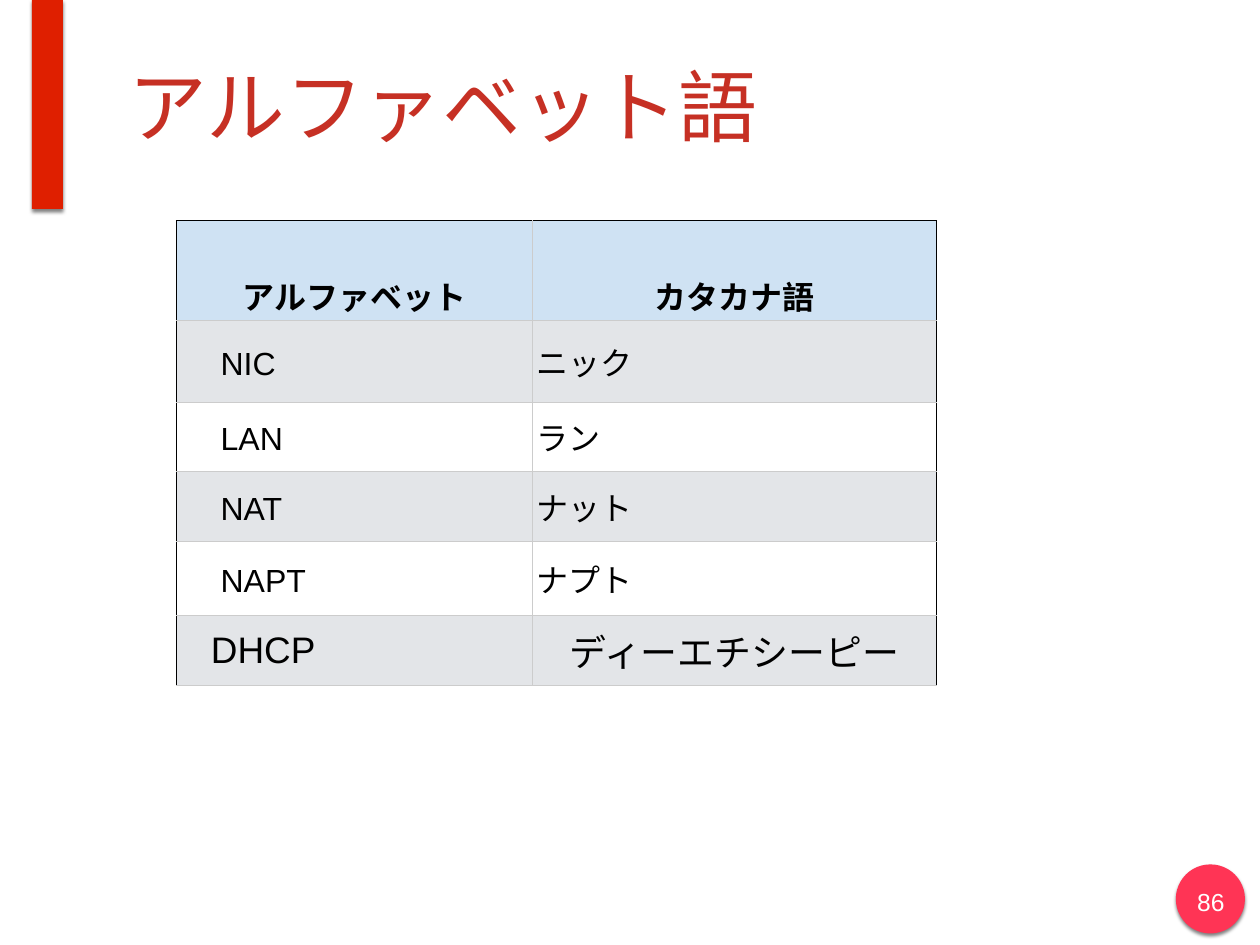
from pptx import Presentation
from pptx.dml.color import RGBColor
from pptx.enum.shapes import MSO_SHAPE
from pptx.enum.text import MSO_ANCHOR, PP_ALIGN
from pptx.oxml import parse_xml
from pptx.oxml.ns import nsdecls, qn
from pptx.util import Inches, Pt

HEAD = ("アルファベット", "カタカナ語")
TERMS = [
    ("NIC", "ニック"),
    ("LAN", "ラン"),
    ("NAT", "ナット"),
    ("NAPT", "ナプト"),
    ("DHCP", "ディーエチシーピー"),
]
COLS = (4.02, 4.56)
ROWS = (1.13, 0.92, 0.78, 0.79, 0.84, 0.79)
BLACK, GREY = "000000", "CCCCCC"


def color(code):
    """Turn a hex string into a colour."""
    return RGBColor.from_string(code)


def write(frame, text, size=26, ink=BLACK, bold=False, align=PP_ALIGN.LEFT, space=None):
    """Put one formatted paragraph into a text frame."""
    line = frame.paragraphs[0]
    line.alignment = align
    line.line_spacing = space
    run = line.add_run()
    run.text = text
    font = run.font
    font.name, font.size, font.bold = "Arial", Pt(size), bold
    font.color.rgb = color(ink)


def add_label(slide, box, text, **style):
    """Add a middle-anchored text box."""
    frame = slide.shapes.add_textbox(*map(Inches, box)).text_frame
    frame.word_wrap = True
    frame.vertical_anchor = MSO_ANCHOR.MIDDLE
    frame.margin_left = frame.margin_right = Inches(0.06)
    frame.margin_top = frame.margin_bottom = Inches(0.06)
    write(frame, text, **style)


def add_block(slide, kind, box, fill):
    """Add a plain shape with a soft shadow below it."""
    shape = slide.shapes.add_shape(kind, *map(Inches, box))
    shape.fill.solid()
    shape.fill.fore_color.rgb = color(fill)
    shape.line.fill.background()
    shape.shadow.inherit = False
    effects = shape._element.spPr.find(qn("a:effectLst"))
    effects.append(parse_xml(
        f'<a:outerShdw {nsdecls("a")} blurRad="{Pt(3)}" dist="{Pt(2)}" '
        'dir="5400000" rotWithShape="0"><a:srgbClr val="000000">'
        '<a:alpha val="50000"/></a:srgbClr></a:outerShdw>'))


def add_edges(cell, **edges):
    """Draw the four one-point borders of a cell."""
    props = cell._tc.get_or_add_tcPr()
    for side, ink in edges.items():
        props.append(parse_xml(
            f'<a:ln{side} {nsdecls("a")} w="{Pt(1)}"><a:solidFill>'
            f'<a:srgbClr val="{ink}"/></a:solidFill></a:ln{side}>'))


def add_title(slide, box):
    """Place the red tab and the title to its right."""
    left, top, width, height = box
    add_block(slide, MSO_SHAPE.RECTANGLE, (left, top, 0.35, 2.36), "DF1F00")
    add_label(slide, (left + 1.03, top + 0.12, width - 1.03, height - 0.12),
              "アルファベット語", size=64, ink="C63024")


def add_terms(slide, box):
    """Place the table of terms and their readings."""
    table = slide.shapes.add_table(len(ROWS), len(COLS), *map(Inches, box)).table
    for col, width in zip(table.columns, COLS):
        col.width = Inches(width)
    for row, height in zip(table.rows, ROWS):
        row.height = Inches(height)
    last = len(ROWS) - 1
    for i, words in enumerate([HEAD, *TERMS]):
        for j, text in enumerate(words):
            cell = table.cell(i, j)
            add_edges(cell, L=GREY if j else BLACK, R=BLACK if j else GREY,
                      T=GREY if i else BLACK, B=GREY)
            cell.fill.solid()
            cell.fill.fore_color.rgb = color(
                "CFE2F3" if i == 0 else "E3E5E8" if i % 2 else "FFFFFF")
            cell.vertical_anchor = MSO_ANCHOR.MIDDLE
            indent = 0.39 if i == last else 0.5
            cell.margin_left = Inches(indent if i and not j else 0.04)
            cell.margin_right = Inches(0.04)
            cell.margin_top = Inches(0.1 if 0 < i < last and not j else 0.03)
            cell.margin_bottom = Inches(0.03)
            mid = i == 0 or (i == last and j == 1)
            write(cell.text_frame, text, size=30 if i == last else 26, bold=i == 0,
                  align=PP_ALIGN.CENTER if mid else PP_ALIGN.LEFT,
                  space=None if i else 2.05)


def add_number(slide, box):
    """Place the round page number."""
    left, top, width, height = box
    add_block(slide, MSO_SHAPE.OVAL, box, "FF3455")
    add_label(slide, (left + 0.15, top + 0.19, width - 0.29, height - 0.33),
              "86", size=20, ink="FFFFFF", align=PP_ALIGN.CENTER)


def main():
    """Build and save the slide."""
    deck = Presentation()
    deck.slide_width, deck.slide_height = Inches(14.22), Inches(10.67)
    slide = deck.slides.add_slide(deck.slide_layouts[6])
    add_title(slide, (0.36, 0, 13.17, 2.24))
    add_terms(slide, (1.99, 2.49, sum(COLS), sum(ROWS)))
    add_number(slide, (13.27, 9.76, 0.78, 0.78))
    deck.save("out.pptx")


if __name__ == "__main__":
    main()
